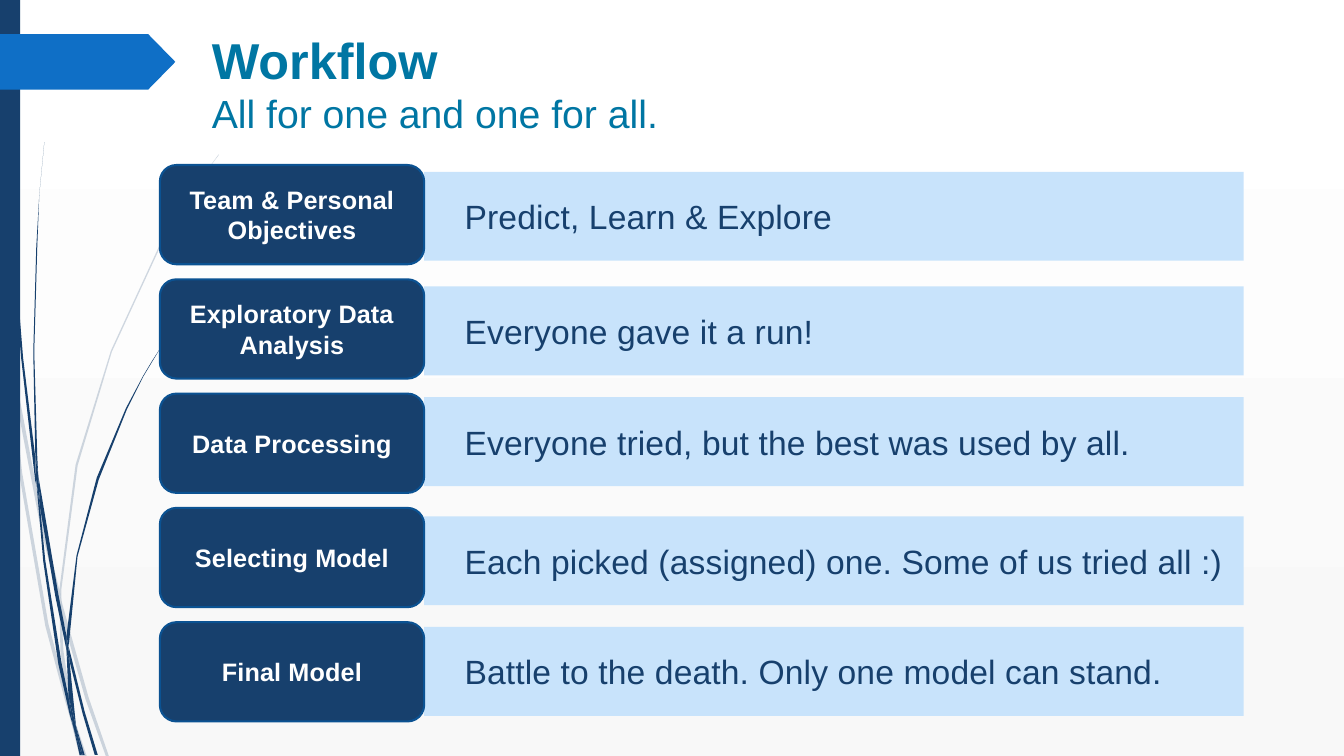
import lxml.etree
import pptx
import pptx.dml.color
import pptx.enum.shapes
import pptx.enum.text
import pptx.oxml.ns
import pptx.util

Cm = pptx.util.Cm
Pt = pptx.util.Pt
SHAPE = pptx.enum.shapes.MSO_SHAPE
ALIGN = pptx.enum.text.PP_ALIGN
ANCHOR = pptx.enum.text.MSO_ANCHOR

FONT = "Arial"
COLORS = {
    "navy": "17406D",
    "blue": "0F6FC6",
    "edge": "0B5292",
    "sky": "C8E3FB",
    "teal": "0076A3",
    "white": "FFFFFF",
    "mist": "F8F8F8",
}
HEADING = [("Workflow", 36, True), ("All for one and one for all.", 28, False)]
STEPS = [
    ("Team & Personal Objectives", "Predict, Learn & Explore", 4.33),
    ("Exploratory Data Analysis", "Everyone gave it a run!", 7.22),
    ("Data Processing", "Everyone tried, but the best was used by all.", 10.01),
    ("Selecting Model", "Each picked (assigned) one. Some of us tried all :)", 13.01),
    ("Final Model", "Battle to the death. Only one model can stand.", 15.8),
]
PALE_BLADES = [
    [(8, 350), (6, 322), (0, 282), (0, 299), (7, 344)],
    [(40, 522), (59, 599), (59, 586), (43, 520), (10, 345), (12, 376)],
    [(64, 607), (61, 596), (61, 610), (85, 694), (105, 750), (108, 750), (88, 692)],
    [(83, 750), (86, 750), (73, 711)],
    [(65, 683), (48, 619), (22, 469), (12, 376), (8, 350), (19, 470), (45, 621),
     (64, 693), (70, 714), (69, 707)],
    [(59, 599), (60, 646), (65, 683), (67, 692), (73, 711), (72, 706), (63, 646),
     (61, 610), (61, 608)],
    [(61, 584), (77, 462), (111, 349), (159, 245), (187, 198), (201, 175), (217, 154),
     (217, 153), (201, 175), (186, 197), (158, 244), (110, 348), (75, 461), (59, 584),
     (59, 586), (61, 596)],
    [(70, 714), (79, 750), (82, 750)],
    [(61, 608), (61, 610), (61, 596), (59, 586), (59, 599)],
    [(67, 692), (65, 683), (69, 707), (70, 714), (82, 750), (83, 750), (73, 711)],
]
DARK_BLADES = [
    [(5, 110), (11, 233), (21, 355), (35, 477), (36, 481), (35, 457), (35, 453),
     (23, 355), (13, 232), (6, 109), (4, 48), (3, 0), (3, 48)],
    [(55, 592), (66, 645), (66, 633), (66, 631), (58, 590), (38, 472), (40, 505)],
    [(70, 649), (68, 641), (69, 656), (82, 708), (94, 749), (97, 749), (84, 706)],
    [(68, 691), (61, 657), (45, 556), (40, 505), (36, 477), (43, 557), (58, 659),
     (69, 708), (73, 722), (72, 717)],
    [(38, 472), (37, 453), (34, 349), (37, 245), (39, 193), (44, 141), (39, 193),
     (36, 245), (33, 349), (35, 449)],
    [(82, 749), (84, 749), (75, 719)],
    [(36, 477), (40, 505), (38, 472), (35, 449), (35, 453)],
    [(69, 633), (77, 552), (98, 476), (126, 406), (142, 374), (151, 359), (160, 344),
     (151, 358), (142, 373), (125, 405), (96, 474), (76, 551), (66, 631), (68, 641)],
    [(73, 722), (79, 749), (81, 749)],
    [(66, 645), (68, 691), (72, 706), (75, 719), (75, 716), (69, 656), (67, 651)],
    [(66, 645), (67, 651), (69, 656), (68, 641), (66, 631), (66, 633)],
    [(72, 706), (68, 691), (72, 717), (73, 722), (81, 749), (82, 749), (75, 719)],
]
BLADE_UNIT = Cm(0.0254)
SLIDE_WIDTH, SLIDE_HEIGHT = 33.87, 19.05
LABEL_LEFT, LABEL_TOP, LABEL_WIDTH, LABEL_HEIGHT = 4.03, 4.16, 6.66, 2.5
LABEL_PITCH = 2.88
BAR_WIDTH, BAR_HEIGHT = 20.65, 2.24


def rgb(name):
    """Return the named colour."""
    return pptx.dml.color.RGBColor.from_string(COLORS[name])


def paint(shape, fill, edge=None):
    """Set the fill and edge and drop the shadow."""
    shape.shadow.inherit = False
    shape.fill.solid()
    shape.fill.fore_color.rgb = rgb(fill)
    if edge:
        shape.line.color.rgb = rgb(edge)
        shape.line.width = Pt(1.5)
    else:
        shape.line.fill.background()
    return shape


def add_box(slide, preset, box, fill, edge=None):
    """Add a painted preset shape from lengths in centimetres."""
    return paint(slide.shapes.add_shape(preset, *map(Cm, box)), fill, edge)


def add_blade(slide, outline, alpha=None):
    """Add one section of a grass blade."""
    builder = slide.shapes.build_freeform(*outline[0], scale=BLADE_UNIT)
    builder.add_line_segments(outline[1:], close=True)
    blade = paint(builder.convert_to_shape(), "navy")
    if alpha:
        tint = blade._element.spPr.find(".//" + pptx.oxml.ns.qn("a:srgbClr"))
        lxml.etree.SubElement(tint, pptx.oxml.ns.qn("a:alpha")).set("val", str(alpha * 1000))


def add_backdrop(slide):
    """Add the gradient, blades, side band and tag."""
    backdrop = slide.background.fill
    backdrop.gradient()
    backdrop.gradient_angle = 270
    for stop, color, position in zip(backdrop.gradient_stops, ("white", "mist"), (0, 1)):
        stop.color.rgb = rgb(color)
        stop.position = position
    for blade in PALE_BLADES:
        add_blade(slide, blade, alpha=20)
    for blade in DARK_BLADES:
        add_blade(slide, blade)
    add_box(slide, SHAPE.RECTANGLE, (0, 0, 0.51, SLIDE_HEIGHT), "navy")
    tag = add_box(slide, SHAPE.PENTAGON, (0, 0.86, 4.42, 1.4), "blue")
    tag.adjustments[0] = 0.49


def add_heading(slide):
    """Add the title and its subtitle."""
    heading = slide.shapes.add_textbox(Cm(5.09), Cm(0.61), Cm(24.77), Cm(3.56)).text_frame
    heading.word_wrap = True
    paragraph = heading.paragraphs[0]
    paragraph.font.name = FONT
    paragraph.font.color.rgb = rgb("teal")
    for i, (text, size, bold) in enumerate(HEADING):
        if i:
            paragraph.add_line_break()
        run = paragraph.add_run()
        run.text = text
        run.font.size = Pt(size)
        run.font.bold = bold


def add_step(slide, index, name, detail, bar_top):
    """Add one workflow step: its detail bar and label."""
    bar = add_box(slide, SHAPE.RECTANGLE,
                  (LABEL_LEFT + LABEL_WIDTH, bar_top, BAR_WIDTH, BAR_HEIGHT), "sky")
    bar.text_frame.margin_left, bar.text_frame.margin_right = Cm(1.02), Cm(0.51)
    label = add_box(slide, SHAPE.ROUNDED_RECTANGLE,
                    (LABEL_LEFT, LABEL_TOP + index * LABEL_PITCH, LABEL_WIDTH, LABEL_HEIGHT),
                    "navy", "edge")
    for part, text, size, color, bold, align in (
            (bar, detail, 24, "navy", False, ALIGN.LEFT),
            (label, name, 18, "white", True, ALIGN.CENTER)):
        frame = part.text_frame
        frame.word_wrap = True
        frame.vertical_anchor = ANCHOR.MIDDLE
        paragraph = frame.paragraphs[0]
        paragraph.alignment = align
        paragraph.font.name = FONT
        paragraph.font.size = Pt(size)
        paragraph.font.bold = bold
        paragraph.font.color.rgb = rgb(color)
        run = paragraph.add_run()
        run.text = text
        run._r.get_or_add_rPr().set("spc", "10")


def main():
    """Build the workflow slide."""
    deck = pptx.Presentation()
    deck.slide_width, deck.slide_height = Cm(SLIDE_WIDTH), Cm(SLIDE_HEIGHT)
    slide = deck.slides.add_slide(deck.slide_layouts[6])
    add_backdrop(slide)
    add_heading(slide)
    for index, step in enumerate(STEPS):
        add_step(slide, index, *step)
    deck.save("out.pptx")


if __name__ == "__main__":
    main()
